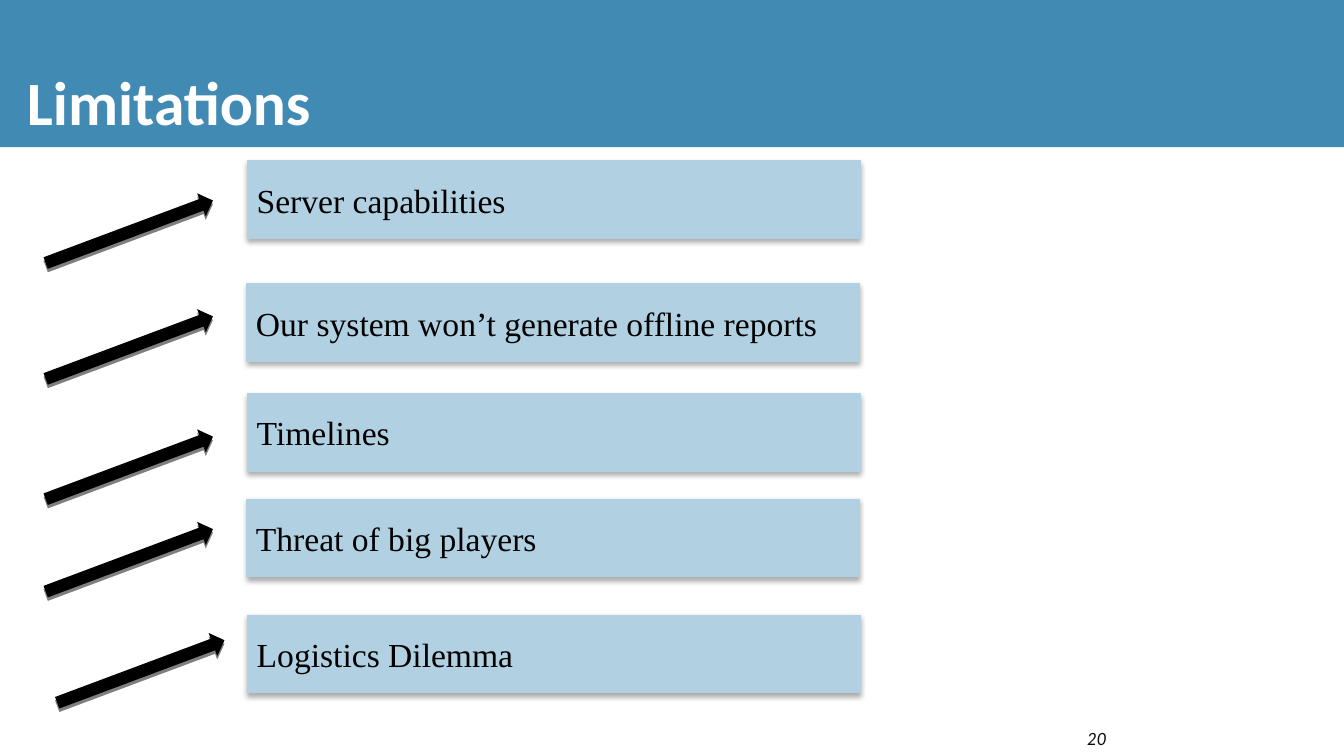
import dataclasses

import lxml.etree
import pptx
import pptx.dml.color
import pptx.enum.shapes
import pptx.enum.text
import pptx.oxml.ns
import pptx.util
from pptx.util import Cm

SHAPES = pptx.enum.shapes.MSO_SHAPE
ALIGN = pptx.enum.text.PP_ALIGN
ANCHOR = pptx.enum.text.MSO_ANCHOR


@dataclasses.dataclass(frozen=True)
class Theme:
    band: str = "418AB3"
    box: str = "B1D1E3"
    arrow: str = "000000"
    depth: str = "7F7F7F"
    title: dict = dataclasses.field(default_factory=lambda: {
        "name": "Calibri", "size": 44, "bold": True, "color": "FFFFFF"})
    item: dict = dataclasses.field(default_factory=lambda: {
        "name": "Times New Roman", "size": 24, "color": "000000"})
    number: dict = dataclasses.field(default_factory=lambda: {
        "name": "Lato", "size": 12, "italic": True, "color": "0C0C0C"})


THEME = Theme()

LIMITATIONS = [
    ("Server capabilities", 6.22, 4.04, 3.26, 5.84),
    ("Our system won’t generate offline reports", 6.2, 7.14, 3.26, 8.76),
    ("Timelines", 6.22, 9.91, 3.26, 11.79),
    ("Threat of big players", 6.2, 12.57, 3.26, 14.12),
    ("Logistics Dilemma", 6.22, 15.49, 3.55, 16.92),
]
BOX_WIDTH, BOX_HEIGHT = 15.47, 1.98
ARROW_LENGTH, ARROW_HEIGHT, ARROW_TURN = 4.5, 0.62, -20.5


def rgb(color):
    return pptx.dml.color.RGBColor.from_string(color)


def write(shape, text, style, anchor, align=ALIGN.LEFT):
    frame = shape.text_frame
    frame.text = text
    settings = {"word_wrap": True, "vertical_anchor": anchor,
                "auto_size": pptx.enum.text.MSO_AUTO_SIZE.NONE,
                "margin_left": Cm(0.25), "margin_right": Cm(0.25),
                "margin_top": Cm(0.13), "margin_bottom": Cm(0.13)}
    for key, value in settings.items():
        setattr(frame, key, value)
    paragraph = frame.paragraphs[0]
    paragraph.alignment = align
    font = paragraph.runs[0].font
    for key, value in style.items():
        if key == "color":
            font.color.rgb = rgb(value)
        else:
            setattr(font, key, pptx.util.Pt(value) if key == "size" else value)


def add_block(slide, kind, left, top, width, height, fill):
    block = slide.shapes.add_shape(
        kind, Cm(left), Cm(top), Cm(width), Cm(height))
    block.fill.solid()
    block.fill.fore_color.rgb = rgb(fill)
    block.line.fill.background()
    block.shadow.inherit = False
    return block


def cast_shadow(shape, color, opacity, blur, distance, direction):
    qn = pptx.oxml.ns.qn
    effects = shape._element.spPr.find(qn("a:effectLst"))
    shadow = lxml.etree.SubElement(
        effects, qn("a:outerShdw"),
        blurRad=str(pptx.util.Pt(blur)), dist=str(pptx.util.Pt(distance)),
        dir=str(direction * 60000), algn="ctr", rotWithShape="0")
    tint = lxml.etree.SubElement(shadow, qn("a:srgbClr"), val=color)
    lxml.etree.SubElement(tint, qn("a:alpha"), val=str(opacity * 1000))


def add_heading(slide, text):
    band = add_block(slide, SHAPES.RECTANGLE, 0, 0, 33.87, 3.71, THEME.band)
    band._element.getparent().insert(2, band._element)
    title = slide.shapes.title
    bounds = {"left": 0.43, "top": 0, "width": 33, "height": 3.61}
    for key, value in bounds.items():
        setattr(title, key, Cm(value))
    write(title, text, THEME.title, ANCHOR.BOTTOM)


def add_arrow(slide, center_x, center_y):
    arrow = add_block(slide, SHAPES.RIGHT_ARROW,
                      center_x - ARROW_LENGTH / 2, center_y - ARROW_HEIGHT / 2,
                      ARROW_LENGTH, ARROW_HEIGHT, THEME.arrow)
    arrow.rotation = ARROW_TURN
    cast_shadow(arrow, THEME.depth, 100, 0, 2.5, 90)


def add_limitation(slide, text, left, top):
    box = add_block(slide, SHAPES.FLOWCHART_PROCESS, left, top,
                    BOX_WIDTH, BOX_HEIGHT, THEME.box)
    cast_shadow(box, "000000", 32, 3.5, 2.2, 90)
    write(box, text, THEME.item, ANCHOR.MIDDLE)


def add_page_number(slide, number):
    box = slide.shapes.add_textbox(Cm(24.33), Cm(18.24), Cm(3.81), Cm(0.76))
    write(box, number, THEME.number, ANCHOR.MIDDLE, ALIGN.RIGHT)


def main():
    deck = pptx.Presentation()
    deck.slide_width, deck.slide_height = Cm(33.87), Cm(19.05)
    slide = deck.slides.add_slide(deck.slide_layouts.get_by_name("Title Only"))
    add_heading(slide, "Limitations")
    add_page_number(slide, "20")
    for text, left, top, arrow_x, arrow_y in LIMITATIONS:
        add_arrow(slide, arrow_x, arrow_y)
        add_limitation(slide, text, left, top)
    deck.save("out.pptx")


if __name__ == "__main__":
    main()
